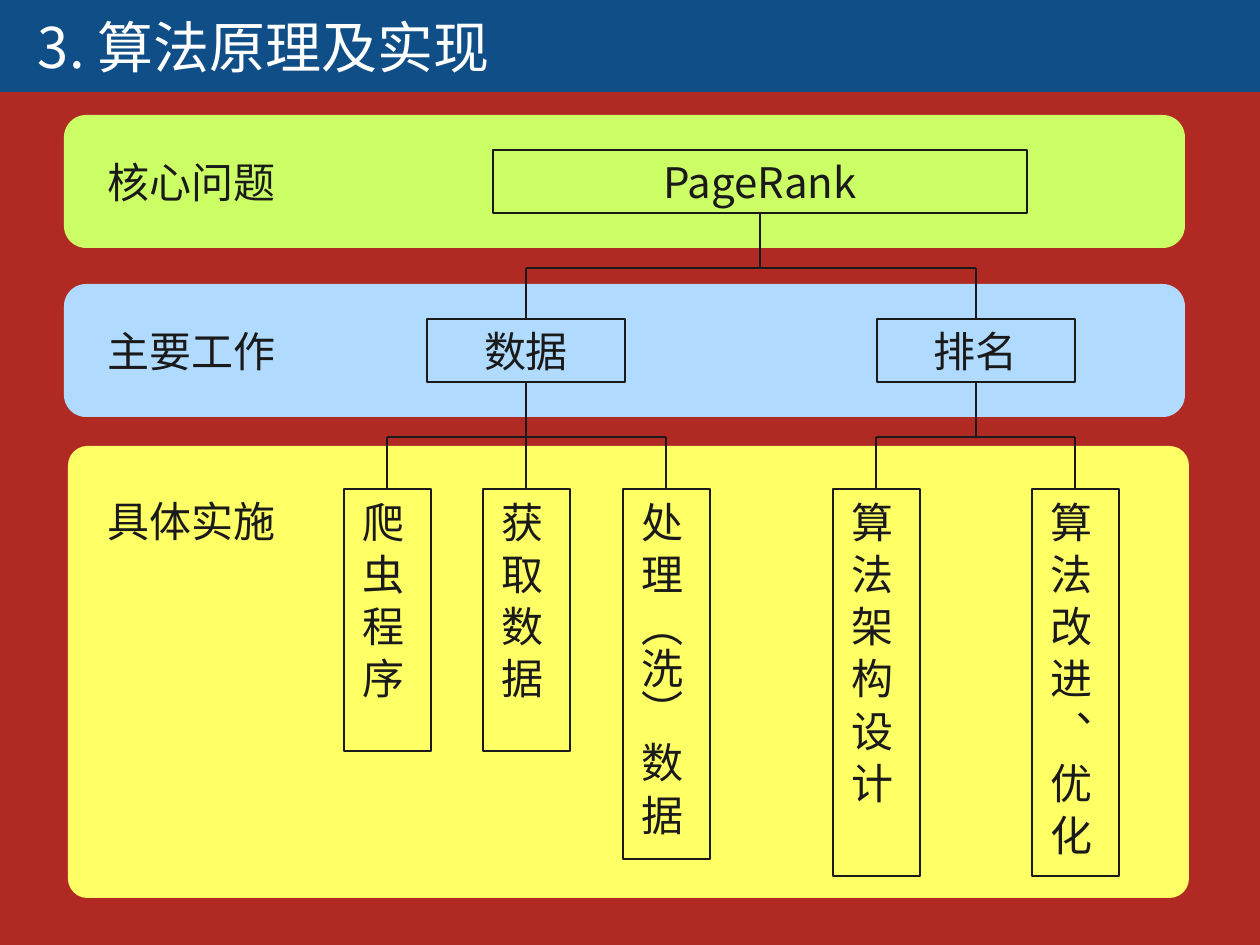
from typing import NamedTuple

from lxml.etree import SubElement
from pptx import Presentation
from pptx.dml.color import RGBColor
from pptx.enum.shapes import MSO_CONNECTOR as Link, MSO_SHAPE as Shape
from pptx.enum.text import MSO_ANCHOR as Anchor, MSO_AUTO_SIZE as Fit, PP_ALIGN as Align
from pptx.oxml.ns import qn
from pptx.util import Emu, Pt

PX_PER_INCH = 126


class Theme:
    font = "Noto Sans CJK SC"
    title_size, body_size = 32, 24
    line_width = 0.75
    backdrop, title_bar = "B12923", "104E87"
    core, work, detail = "CCFF66", "B1DBFE", "FFFF66"
    ink, light = "1A1A1A", "FFFFFF"


class Box(NamedTuple):
    left: int
    top: int
    width: int
    height: int

    def inside(self, left, top, width, height):
        return Box(self.left + left, self.top + top, width, height)

    @property
    def middle(self):
        return self.left + self.width // 2

    @property
    def bottom(self):
        return self.top + self.height


def px(length):
    return Emu(round(length * 914400 / PX_PER_INCH))


def rgb(code):
    return RGBColor.from_string(code)


def add_panel(page, box, kind, fill=None, line=None):
    panel = page.shapes.add_shape(kind, *map(px, box))
    panel.shadow.inherit = False
    if fill:
        panel.fill.solid()
        panel.fill.fore_color.rgb = rgb(fill)
    else:
        panel.fill.background()
    if line:
        panel.line.color.rgb = rgb(line)
        panel.line.width = Pt(Theme.line_width)
    else:
        panel.line.fill.background()
    return panel


def write(frame, text, size=Theme.body_size, colour=Theme.ink, align=Align.LEFT):
    frame.word_wrap = True
    para = frame.paragraphs[0]
    para.alignment = align
    span = para.add_run()
    span.text = text
    span.font.size = Pt(size)
    span.font.name = Theme.font
    span.font.color.rgb = rgb(colour)
    SubElement(span.font._element, qn("a:ea")).set("typeface", Theme.font)
    return para


def add_line(page, x1, y1, x2, y2):
    line = page.shapes.add_connector(Link.STRAIGHT, *map(px, (x1, y1, x2, y2)))
    line.line.color.rgb = rgb(Theme.ink)
    line.line.width = Pt(Theme.line_width)
    SubElement(line._element.spPr, qn("a:effectLst"))


def add_title(page, box, text):
    frame = add_panel(page, box, Shape.RECTANGLE, Theme.title_bar).text_frame
    frame.vertical_anchor = Anchor.MIDDLE
    frame.margin_left = px(38)
    write(frame, text, Theme.title_size, Theme.light)


def add_band(page, box, fill, label, label_left, label_top, corner=0.167):
    add_panel(page, box, Shape.ROUNDED_RECTANGLE, fill).adjustments[0] = corner
    place = box.inside(label_left, label_top, 228, 63)
    write(page.shapes.add_textbox(*map(px, place)).text_frame, label)


def add_node(page, box, text, vertical=False):
    frame = add_panel(page, box, Shape.RECTANGLE, line=Theme.ink).text_frame
    frame.vertical_anchor = Anchor.MIDDLE
    frame.auto_size = Fit.SHAPE_TO_FIT_TEXT
    para = write(frame, text, align=Align.LEFT if vertical else Align.CENTER)
    if vertical:
        frame._txBody.bodyPr.set("vert", "eaVert")
        para.line_spacing = 1.2
    return box


def add_branches(page, parent, children):
    """Join a parent to its children through a horizontal bus."""
    bus = parent.bottom + 55
    middles = [child.middle for child in children]
    add_line(page, parent.middle, parent.bottom, parent.middle, bus)
    add_line(page, min(middles), bus, max(middles), bus)
    for child in children:
        add_line(page, child.middle, bus, child.middle, child.top)


def main():
    deck = Presentation()
    deck.slide_width, deck.slide_height = px(1260), px(945)
    page = deck.slides.add_slide(deck.slide_layouts[6])
    page.background.fill.solid()
    page.background.fill.fore_color.rgb = rgb(Theme.backdrop)

    add_title(page, Box(0, 0, 1260, 92), "3. 算法原理及实现")

    # Bands with their labels
    core = Box(64, 115, 1121, 133)
    work = Box(64, 284, 1121, 133)
    detail = Box(68, 446, 1121, 452)
    add_band(page, core, Theme.core, "核心问题", 31, 35)
    add_band(page, work, Theme.work, "主要工作", 31, 35)
    add_band(page, detail, Theme.detail, "具体实施", 27, 43, corner=0.043)

    # Root and its tasks, each task with (left, height, text) of its steps
    root = add_node(page, core.inside(429, 35, 534, 63), "PageRank")
    tasks = [
        (363, "数据", [(276, 262, "爬 虫 程 序"), (415, 262, "获 取 数 据"),
                     (555, 370, "处 理 （洗） 数 据")]),
        (813, "排名", [(765, 387, "算 法 架 构 设 计"),
                     (964, 387, "算 法 改 进 、 优 化")]),
    ]
    task_boxes = []
    for task_left, name, steps in tasks:
        task = add_node(page, work.inside(task_left, 35, 198, 63), name)
        task_boxes.append(task)
        add_branches(page, task, [
            add_node(page, detail.inside(left, 43, 87, height), text, vertical=True)
            for left, height, text in steps])
    add_branches(page, root, task_boxes)

    deck.save("out.pptx")


if __name__ == "__main__":
    main()
